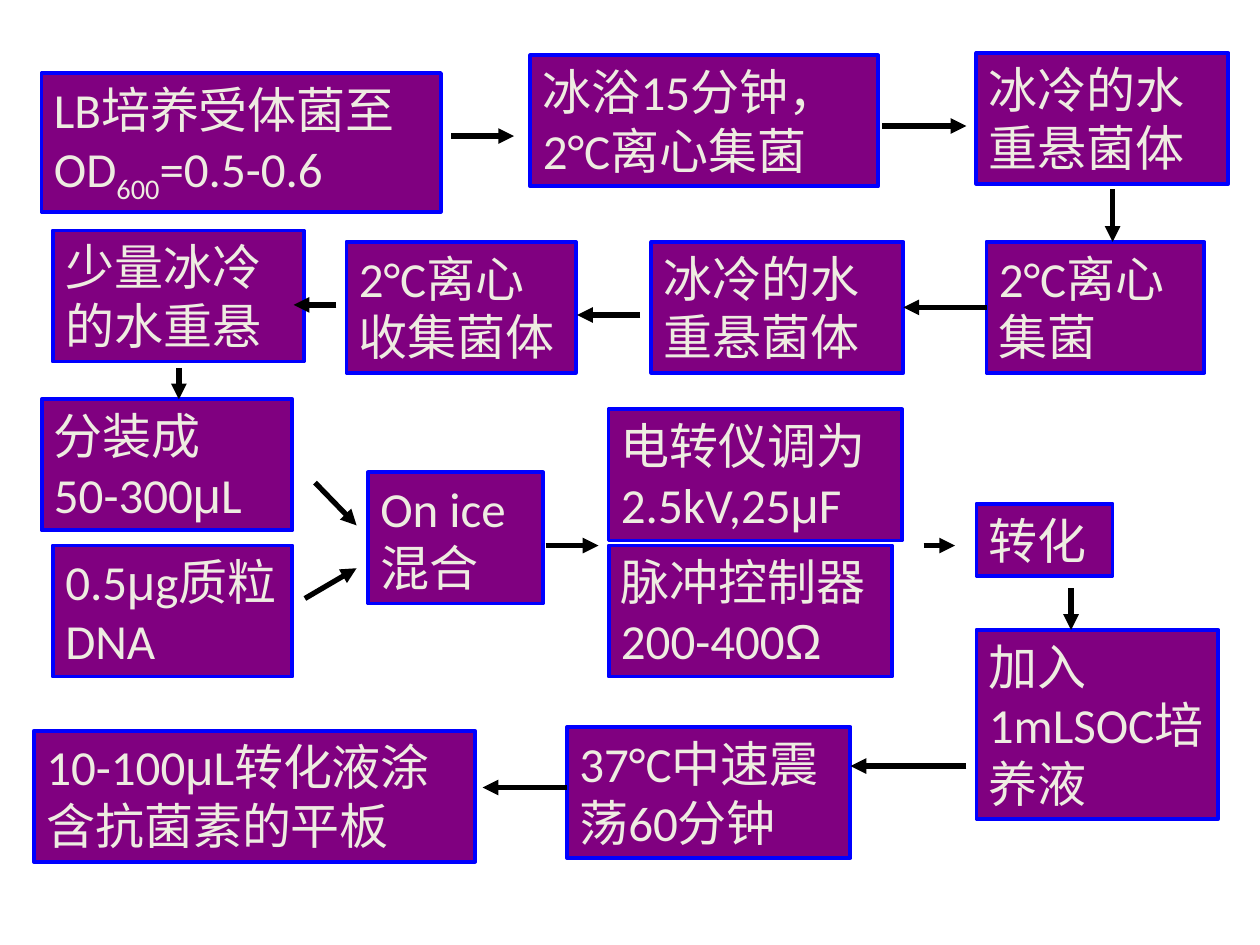
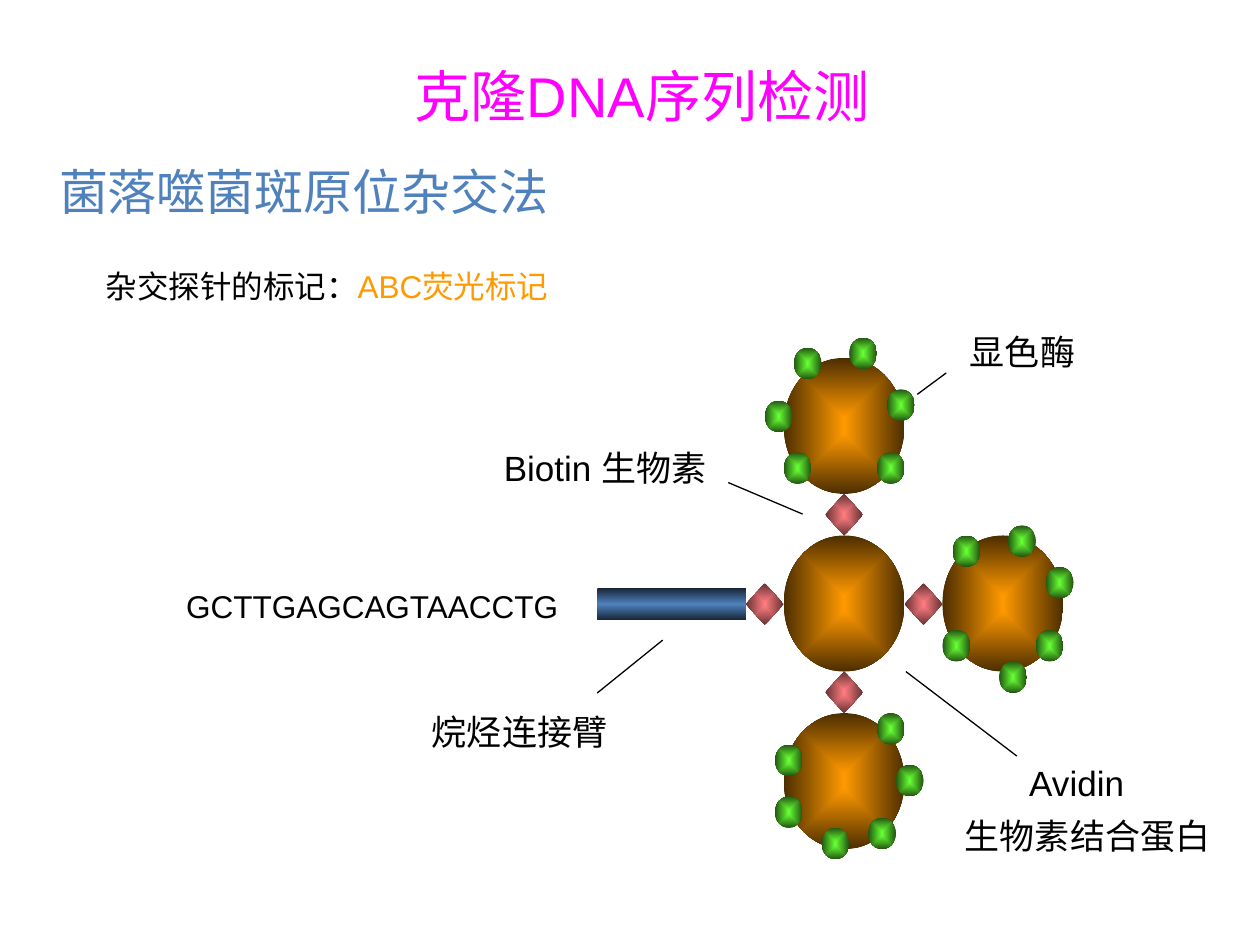
from itertools import groupby

from lxml import etree
from pptx import Presentation
from pptx.dml.color import RGBColor
from pptx.enum.shapes import MSO_CONNECTOR, MSO_SHAPE
from pptx.enum.text import MSO_ANCHOR, MSO_AUTO_SIZE, PP_ALIGN
from pptx.oxml.ns import qn
from pptx.util import Pt

PX = 9144  # EMU per px, 100 px to the inch
RECT, OVAL, DIAMOND = MSO_SHAPE.RECTANGLE, MSO_SHAPE.OVAL, MSO_SHAPE.DIAMOND
STRAIGHT = MSO_CONNECTOR.STRAIGHT
TOP, LEFT = MSO_ANCHOR.TOP, PP_ALIGN.LEFT
NO_FIT, GROW = MSO_AUTO_SIZE.NONE, MSO_AUTO_SIZE.SHAPE_TO_FIT_TEXT
SIDE_LEFT, SIDE_RIGHT = 1, 3
TITLE_ONLY, BLANK = 5, 6

COLORS = {
    "step": "800080", "step_line": "0000FF", "step_text": "EEECE1",
    "ink": "000000", "title": "FF00FF", "subtitle": "4F81BD",
    "highlight": "FF9900",
}
GRADIENTS = {
    "avidin": ("FF9900", "4C2E00"),
    "biotin": ("FF7C80", "663233"),
    "enzyme": ("66FF33", "225511"),
    "arm": ("182638", "4F81BD", "182638"),
}
LATIN, GREEK, SERIF, CJK = "Calibri", "Arial", "Times New Roman", "Noto Sans CJK SC"

# Each step: left, top, width, height, paragraphs ("_" encloses a subscript).
STEPS = {
    "culture": (33, 58, 317, 110, ["LB培养受体菌至OD_600_=0.5-0.6"]),
    "ice bath": (421, 44, 276, 104, ["冰浴15分钟，2°C离心集菌"]),
    "first wash": (775, 42, 200, 104, ["冰冷的水重悬菌体"]),
    "first spin": (783, 192, 173, 104, ["2°C离心集菌"]),
    "second wash": (517, 192, 200, 104, ["冰冷的水重悬菌体"]),
    "second spin": (275, 192, 182, 104, ["2°C离心收集菌体"]),
    "resuspend": (42, 183, 199, 104, ["少量冰冷的水重悬"]),
    "aliquot": (33, 317, 199, 104, ["分装成", "50-300μL"]),
    "voltage": (483, 325, 233, 104, ["电转仪调为2.5kV,25μF"]),
    "pulse": (483, 433, 225, 104, ["脉冲控制器200-400Ω"]),
    "plasmid": (42, 433, 190, 104, ["0.5μg质粒DNA"]),
    "mix": (292, 375, 139, 104, ["On ice混合"]),
    "medium": (775, 500, 192, 150, ["加入1mLSOC培养液"]),
    "shake": (450, 577, 225, 104, ["37°C中速震荡60分钟"]),
    "plate": (27, 580, 350, 104, ["10-100μL转化液涂含抗菌素的平板"]),
    "transform": (775, 400, 108, 57, ["转化"]),
}
ARROWS = [
    (358, 108, 408, 108), (700, 100, 767, 100), (883, 150, 883, 192),
    (508, 250, 458, 250), (267, 242, 233, 242), (142, 292, 142, 317),
    (250, 383, 283, 417), (242, 475, 283, 451), (433, 433, 475, 433),
    (733, 433, 758, 433), (850, 467, 850, 500), (767, 608, 675, 608),
    (450, 625, 383, 625),
]

PROTEIN_W, PROTEIN_H = 96, 108
LINK_W, LINK_H = 30, 33
ENZYME_W, ENZYME_H = 22, 25
# Enzyme offsets from the corner of the protein that carries them.
ENZYMES_TOP = [(8, -8), (52, -16), (82, 25), (74, 75), (-15, 34), (0, 75)]
ENZYMES_RIGHT = [(8, 0), (52, -8), (82, 25), (74, 75), (45, 100), (0, 75)]
ENZYMES_BOTTOM = [(74, 0), (89, 41), (67, 83), (30, 91), (-7, 66), (-7, 25)]

LABELS = [
    (138, 446, 326, 83, "GCTTGAGCAGTAACCTG", 18, GREEK),
    (760, 241, 126, 83, "显色酶", 20, CJK),
    (390, 333, 188, 83, "Biotin 生物素", 20, GREEK),
    (807, 583, 165, 67, "Avidin", 20, GREEK),
    (756, 625, 217, 83, "生物素结合蛋白", 20, GREEK),
    (333, 542, 163, 83, "烷烃连接臂", 20, GREEK),
]
LEADERS = [
    (728, 313, 751, 296), (637, 408, 578, 383),
    (719, 533, 807, 600), (526, 508, 474, 550),
]


def scaled(*lengths):
    return [length * PX for length in lengths]


def rgb(name):
    return RGBColor.from_string(COLORS[name])


def add_span(para, text, size, font, color, shadow=False, baseline=0):
    span = para.add_run()
    span.text = text
    span.font.size = Pt(size)
    span.font.color.rgb = rgb(color)
    span.font.name = font
    props = span._r.get_or_add_rPr()
    etree.SubElement(props, qn("a:ea"), typeface=CJK)
    if baseline:
        props.set("baseline", str(baseline))
    if shadow:
        effects = etree.Element(qn("a:effectLst"))
        outer = etree.SubElement(effects, qn("a:outerShdw"), dist="25400", dir="2700000")
        etree.SubElement(outer, qn("a:srgbClr"), val="C0C0C0")
        props.find(qn("a:latin")).addprevious(effects)


def add_line(page, ends, width, arrow=False):
    line = page.shapes.add_connector(STRAIGHT, *scaled(*ends))
    line.line.color.rgb = rgb("ink")
    line.line.width = Pt(width)
    if arrow:
        etree.SubElement(line.line._get_or_add_ln(), qn("a:tailEnd"), type="triangle")
    etree.SubElement(line._element.spPr, qn("a:effectLst"))
    return line


def add_step(page, left, top, width, height, paragraphs):
    box = page.shapes.add_shape(RECT, *scaled(left, top, width, height))
    box.shadow.inherit = False
    box.fill.solid()
    box.fill.fore_color.rgb = rgb("step")
    box.line.color.rgb = rgb("step_line")
    box.line.width = Pt(2.25)
    frame = box.text_frame
    frame.word_wrap = True
    frame.auto_size = GROW
    frame.vertical_anchor = TOP
    for index, text in enumerate(paragraphs):
        para = frame.add_paragraph() if index else frame.paragraphs[0]
        para.alignment = LEFT
        for part, piece in enumerate(text.split("_")):
            for is_greek, letters in groupby(piece, lambda letter: letter in "μΩ"):
                add_span(para, "".join(letters), 28, GREEK if is_greek else LATIN,
                         "step_text", baseline=-25000 if part % 2 else 0)
    return box


def build_protocol(deck):
    page = deck.slides.add_slide(deck.slide_layouts[BLANK])
    boxes = {name: add_step(page, *step) for name, step in STEPS.items()}
    for ends in ARROWS:
        add_line(page, ends, 3, arrow=True)
    joined = add_line(page, (783, 244, 717, 244), 3, arrow=True)
    joined.begin_connect(boxes["first spin"], SIDE_LEFT)
    joined.end_connect(boxes["second wash"], SIDE_RIGHT)


def format_text(box, spans, shadow=True):
    """Fill a text box or title with one paragraph of (text, size, font, color)."""
    frame = box.text_frame
    frame.word_wrap = True
    frame.auto_size = NO_FIT
    frame.vertical_anchor = TOP
    para = frame.paragraphs[0]
    para.alignment = LEFT
    para.line_spacing = 1.5
    para.space_before = Pt(0)
    for span in spans:
        add_span(para, *span, shadow=shadow)


def add_text(page, place, *spans):
    format_text(page.shapes.add_textbox(*scaled(*place)), spans)


def add_title(page, place, text):
    title = page.shapes.title
    title.left, title.top, title.width, title.height = scaled(*place)
    format_text(title, [(text, 32, GREEK, "title")], shadow=False)


def add_part(page, kind, gradient, left, top, width, height):
    """Add a borderless shape; two stops shade from the centre, three downwards."""
    part = page.shapes.add_shape(kind, *scaled(left, top, width, height))
    part.shadow.inherit = False
    part.line.fill.background()
    fill = etree.Element(qn("a:gradFill"), rotWithShape="1")
    stops = etree.SubElement(fill, qn("a:gsLst"))
    colors = GRADIENTS[gradient]
    for index, color in enumerate(colors):
        position = 100000 * index // (len(colors) - 1)
        stop = etree.SubElement(stops, qn("a:gs"), pos=str(position))
        etree.SubElement(stop, qn("a:srgbClr"), val=color)
    if len(colors) == 2:
        shade = etree.SubElement(fill, qn("a:path"), path="rect")
        etree.SubElement(shade, qn("a:fillToRect"),
                         {side: "50000" for side in "ltrb"})
    else:
        etree.SubElement(fill, qn("a:lin"), ang="5400000", scaled="0")
    part._element.spPr.find(qn("a:prstGeom")).addnext(fill)


def add_protein(page, left, top, enzymes=()):
    add_part(page, OVAL, "avidin", left, top, PROTEIN_W, PROTEIN_H)
    for across, down in enzymes:
        add_part(page, OVAL, "enzyme", left + across, top + down, ENZYME_W, ENZYME_H)


def add_complex(page, left, top):
    """Draw the avidin core at left, top with its links, satellites and arm."""
    add_protein(page, left, top)
    middle_x = left + (PROTEIN_W - LINK_W) // 2
    middle_y = top + (PROTEIN_H - LINK_H) // 2 + 1
    for x, y in [(left - LINK_W, middle_y), (left + PROTEIN_W, middle_y),
                 (middle_x, top - LINK_H), (middle_x, top + PROTEIN_H)]:
        add_part(page, DIAMOND, "biotin", x, y, LINK_W, LINK_H)
    step_x, step_y = PROTEIN_W + LINK_W, PROTEIN_H + LINK_H
    add_protein(page, left + step_x, top, ENZYMES_RIGHT)
    add_protein(page, left, top + step_y, ENZYMES_BOTTOM)
    add_protein(page, left, top - step_y, ENZYMES_TOP)
    add_part(page, RECT, "arm", left - 148, top + 42, 118, 25)


def build_detection(deck):
    page = deck.slides.add_slide(deck.slide_layouts[TITLE_ONLY])
    add_title(page, (319, 17, 418, 92), "克隆DNA序列检测")
    add_text(page, (37, 100, 502, 77), ("菌落噬菌斑原位杂交法", 28, GREEK, "subtitle"))
    add_text(page, (74, 192, 444, 83),
             ("杂交探针的标记：", 18, SERIF, "ink"),
             ("ABC荧光标记", 18, GREEK, "highlight"))
    add_complex(page, 622, 425)
    for *place, text, size, font in LABELS:
        add_text(page, place, (text, size, font, "ink"))
    for ends in LEADERS:
        add_line(page, ends, 0.75)


def main():
    deck = Presentation()
    deck.slide_width, deck.slide_height = scaled(1000, 750)
    build_protocol(deck)
    build_detection(deck)
    deck.save("out.pptx")


if __name__ == "__main__":
    main()
